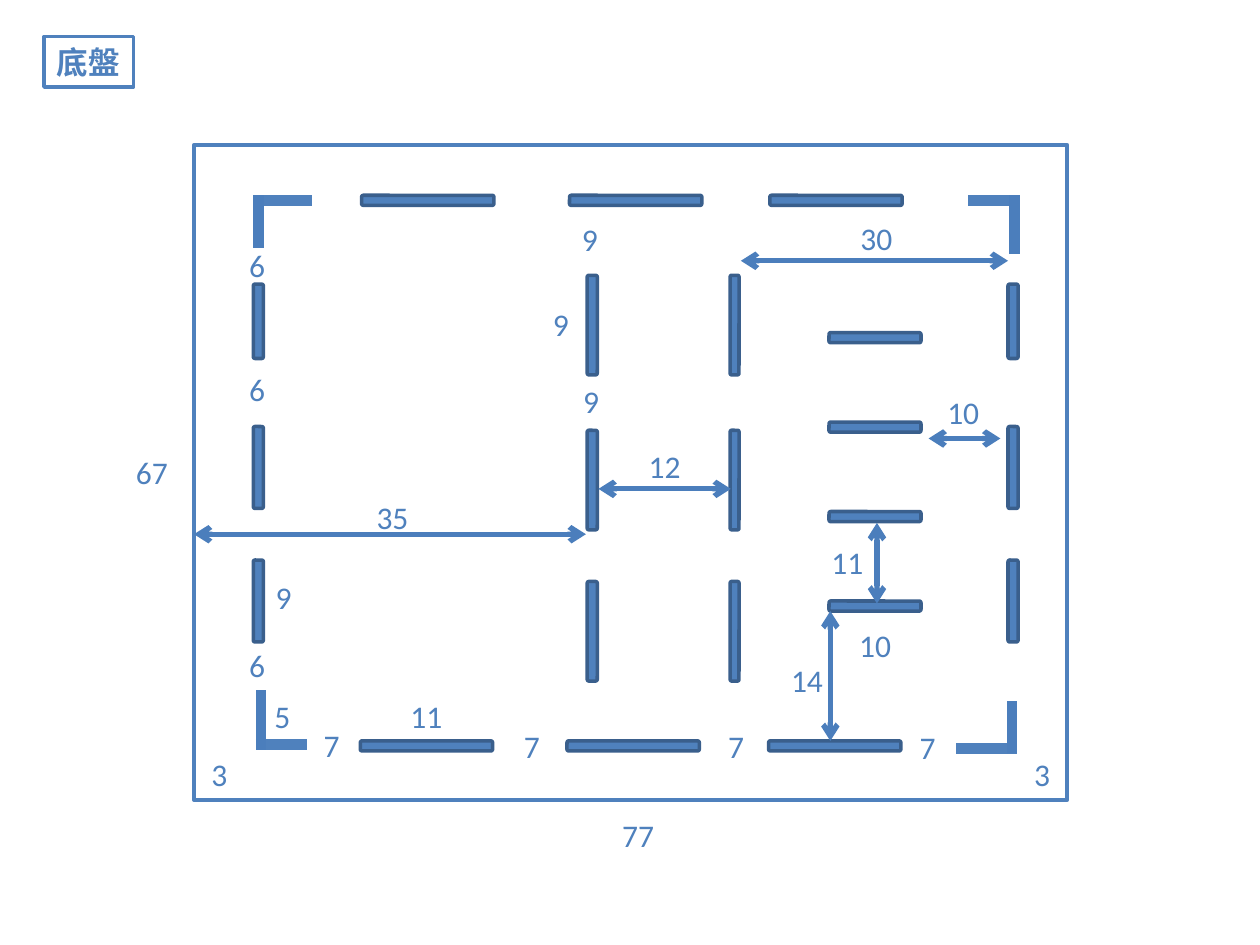
import pptx
import pptx.util
import pptx.enum.shapes
import pptx.enum.text
import pptx.dml.color
import pptx.oxml.ns
import lxml.etree

COLORS = {"paper": "FFFFFF", "blue": "4F81BD", "edge": "3A5F8C", "measure": "4B7EBC"}
SHAPES = pptx.enum.shapes.MSO_SHAPE
Inches = pptx.util.Inches


def color(name):
    """Return the named colour."""
    return pptx.dml.color.RGBColor.from_string(COLORS[name])


def add_child(parent, tag, **attributes):
    """Append a drawing element to a parent."""
    return lxml.etree.SubElement(parent, pptx.oxml.ns.qn(tag), attributes)


def add_box(slide, kind, left, top, width, height, fill, line, weight):
    """Add a filled and outlined preset shape."""
    shape = slide.shapes.add_shape(kind, Inches(left), Inches(top), Inches(width), Inches(height))
    shape.shadow.inherit = False
    shape.fill.solid()
    shape.fill.fore_color.rgb = color(fill)
    shape.line.color.rgb = color(line)
    shape.line.width = pptx.util.Pt(weight)
    return shape


def add_line(slide, start, end, line="measure", weight=3, arrows=False):
    """Add a straight line, with open arrowheads at both ends if asked."""
    connector = slide.shapes.add_connector(
        pptx.enum.shapes.MSO_CONNECTOR.STRAIGHT, *map(Inches, (*start, *end)))
    connector.line.color.rgb = color(line)
    connector.line.width = pptx.util.Pt(weight)
    if arrows:
        for tag in ("a:headEnd", "a:tailEnd"):
            add_child(connector.line._get_or_add_ln(), tag, type="arrow")
    add_child(connector._element.spPr, "a:effectLst")


def write_text(shape, text, font="Calibri", size=18, bold=False, ink="blue"):
    """Write one left-aligned, unwrapped line in a shape."""
    frame = shape.text_frame
    frame.word_wrap = False
    frame.auto_size = pptx.enum.text.MSO_AUTO_SIZE.SHAPE_TO_FIT_TEXT
    paragraph = frame.paragraphs[0]
    paragraph.alignment = pptx.enum.text.PP_ALIGN.LEFT
    run = paragraph.add_run()
    run.text = text
    run.font.name = font
    run.font.size = pptx.util.Pt(size)
    run.font.bold = bold
    run.font.color.rgb = color(ink)
    add_child(run.font._element, "a:ea", typeface=font)


def add_bar(slide, left, top, length, thickness=0.08, rotation=0):
    """Add one wall bar."""
    bar = add_box(slide, SHAPES.ROUNDED_RECTANGLE, left, top, length, thickness,
                  "blue", "edge", 2)
    bar.rotation = rotation


def add_walls(slide, left, top):
    """Place the rows, columns and rungs of bars."""
    for row_top, offsets in ((4.73, (1.32, 2.96, 4.56)), (0.4, (1.33, 2.98, 4.57))):
        for offset in offsets:
            add_bar(slide, left + offset, top + row_top, 1.05)
    outer_centers, inner_centers = (1.4, 2.56, 3.62), (1.43, 2.66, 3.86)
    outer_lengths, inner_lengths = (0.59, 0.65, 0.65), (0.79,) * 3
    for center_x, centers, lengths, thickness in (
            (6.5, outer_centers, outer_lengths, 0.08),
            (0.51, outer_centers, outer_lengths, 0.08),
            (3.16, inner_centers, inner_lengths, 0.08),
            (4.29, inner_centers, inner_lengths, 0.07)):
        for center_y, length in zip(centers, lengths):
            add_bar(slide, left + center_x - length / 2, top + center_y - thickness / 2,
                    length, thickness, 90)
    for index in range(4):
        add_bar(slide, left + 5.04, top + 1.49 + 0.71 * index, 0.73)


def add_corners(slide, left, top):
    """Place the four L-shaped corners."""
    for x, y, across, down in ((0.51, 0.44, 0.43, 0.38), (6.49, 4.79, -0.44, -0.38),
                               (6.51, 0.44, -0.37, 0.43), (0.53, 4.76, 0.37, -0.43)):
        x, y = left + x, top + y
        overlap_x = 0.04 if across > 0 else -0.04
        overlap_y = 0.04 if down > 0 else -0.04
        add_line(slide, (x - overlap_x, y), (x + across, y), "blue", 6)
        add_line(slide, (x, y - overlap_y), (x, y + down), "measure", 6)


def add_measures(slide, left, top):
    """Place the measuring arrows and the numbers."""
    for x1, y1, x2, y2 in ((0, 3.09, 3.11, 3.09), (3.21, 2.73, 4.26, 2.73),
                           (4.34, 0.92, 6.46, 0.92), (5.83, 2.33, 6.4, 2.33),
                           (5.05, 3.7, 5.05, 4.73), (5.42, 3, 5.42, 3.64)):
        add_line(slide, (left + x1, top + y1), (left + x2, top + y2), arrows=True)
    numbers = {
        "77": [(3.3, 5.28)], "67": [(-0.56, 2.4)], "35": [(1.35, 2.75)],
        "30": [(5.19, 0.54)], "14": [(4.64, 4.05)], "12": [(3.51, 2.35)],
        "11": [(1.62, 4.33), (4.96, 3.11)],
        "10": [(5.18, 3.77), (5.88, 1.92)],
        "9": [(0.55, 3.39), (2.75, 1.22), (2.98, 0.55), (2.99, 1.83)],
        "7": [(0.93, 4.56), (2.52, 4.57), (4.14, 4.57), (5.66, 4.58)],
        "6": [(0.34, 0.75), (0.34, 1.74), (0.34, 3.93)],
        "5": [(0.54, 4.33)],
        "3": [(0.04, 4.79), (6.57, 4.79)],
    }
    for number, places in numbers.items():
        width = 0.2 + 0.13 * len(number)
        for x, y in places:
            label = slide.shapes.add_textbox(
                Inches(left + x), Inches(top + y), Inches(width), Inches(0.4))
            write_text(label, number)


def add_plan(slide, left, top, width, height):
    """Draw the base plate with its walls and measures."""
    add_box(slide, SHAPES.RECTANGLE, left, top, width, height, "paper", "blue", 2.25)
    add_walls(slide, left, top)
    add_corners(slide, left, top)
    add_measures(slide, left, top)


def add_title(slide, left, top, width, height):
    """Draw the framed title."""
    title = add_box(slide, SHAPES.RECTANGLE, left, top, width, height, "paper", "blue", 2.25)
    write_text(title, "底盤", font="Noto Sans CJK SC", bold=True)


def main():
    """Build and save the presentation."""
    presentation = pptx.Presentation()
    presentation.slide_width, presentation.slide_height = Inches(10), Inches(7.5)
    slide = presentation.slides.add_slide(presentation.slide_layouts[6])
    add_plan(slide, 1.54, 1.15, 6.93, 5.2)
    add_title(slide, 0.35, 0.29, 0.71, 0.4)
    presentation.save("out.pptx")


main()
